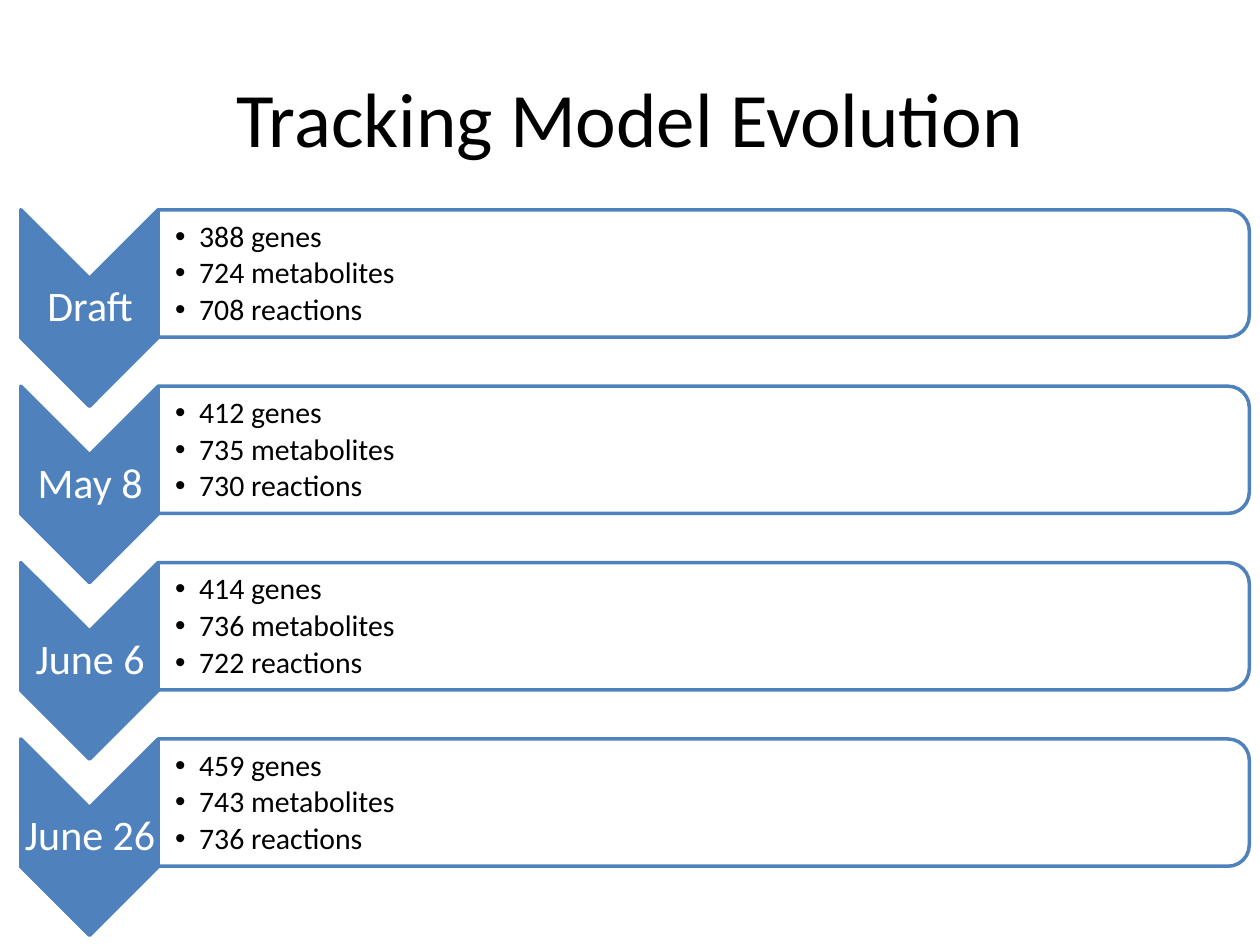
"""Build the slide that tracks model evolution over four dates."""
from lxml.etree import SubElement
from pptx import Presentation
from pptx.dml.color import RGBColor
from pptx.enum.shapes import MSO_SHAPE
from pptx.enum.text import MSO_ANCHOR, PP_ALIGN
from pptx.oxml.ns import qn
from pptx.util import Inches, Pt

COLORS = {"blue": "4F81BD", "white": "FFFFFF", "black": "000000"}
MILESTONES = [
    ("Draft", 388, 724, 708),
    ("May 8", 412, 735, 730),
    ("June 6", 414, 736, 722),
    ("June 26", 459, 743, 736),
]
ROW_STEP = 1.4
LABEL_FORMAT = {"size": 24, "color": "white", "align": PP_ALIGN.CENTER, "after": 8.4,
                "margins": (0.02, 0.02, 0.02, 0.02)}
COUNT_FORMAT = {"size": 17, "color": "black", "align": PP_ALIGN.LEFT, "after": 2.55,
                "margins": (0.13, 0.01, 0.01, 0.01)}


def add_rotated_shape(slide, preset, box, fill):
    shape = slide.shapes.add_shape(preset, *map(Inches, box))
    shape.rotation = 90
    shape.shadow.inherit = False
    shape.fill.solid()
    shape.fill.fore_color.rgb = RGBColor.from_string(COLORS[fill])
    shape.line.color.rgb = RGBColor.from_string(COLORS["blue"])
    shape.line.width = Pt(2)
    return shape


def add_text(slide, box, lines, style):
    frame = slide.shapes.add_textbox(*map(Inches, box)).text_frame
    frame.word_wrap = True
    frame.vertical_anchor = MSO_ANCHOR.MIDDLE
    for side, margin in zip(("left", "top", "right", "bottom"), style["margins"]):
        setattr(frame, f"margin_{side}", Inches(margin))
    frame.text = "\n".join(lines)
    for paragraph in frame.paragraphs:
        paragraph.alignment = style["align"]
        paragraph.line_spacing = 0.9
        paragraph.space_after = Pt(style["after"])
        font = paragraph.runs[0].font
        font.name = "Calibri"
        font.size = Pt(style["size"])
        font.color.rgb = RGBColor.from_string(COLORS[style["color"]])
    return frame


presentation = Presentation()
presentation.slide_width = Inches(10)
presentation.slide_height = Inches(7.5)
slide = presentation.slides.add_slide(presentation.slide_layouts[5])

title = slide.shapes.title
title.left, title.top, title.width, title.height = map(Inches, (0.5, 0.3, 9, 1.25))
title.text_frame.text = "Tracking Model Evolution"
title.text_frame.vertical_anchor = MSO_ANCHOR.MIDDLE
title_paragraph = title.text_frame.paragraphs[0]
title_paragraph.alignment = PP_ALIGN.CENTER
title_font = title_paragraph.runs[0].font
title_font.name = "Calibri"
title_font.size = Pt(44)
title_font.color.rgb = RGBColor.from_string(COLORS["black"])

for row, (date, genes, metabolites, reactions) in enumerate(MILESTONES):
    offset = row * ROW_STEP
    add_rotated_shape(slide, MSO_SHAPE.CHEVRON, (-0.07, 1.9 + offset, 1.56, 1.09), "blue")
    add_text(slide, (0.17, 2.21 + offset, 1.09, 0.47), [date], LABEL_FORMAT)

    panel = add_rotated_shape(slide, MSO_SHAPE.ROUND_2_SAME_RECTANGLE,
                              (5.08, -2.16 + offset, 1.01, 8.66), "white")
    panel_color = panel.fill._xPr.find(qn("a:solidFill"))[0]
    SubElement(panel_color, qn("a:alpha"), val="90000")

    counts = [f"{genes} genes", f"{metabolites} metabolites", f"{reactions} reactions"]
    frame = add_text(slide, (1.26, 1.72 + offset, 8.61, 0.91), counts, COUNT_FORMAT)
    for paragraph in frame.paragraphs:
        paragraph.level = 1
        properties = paragraph._p.get_or_add_pPr()
        properties.set("marL", str(Inches(0.19)))
        properties.set("indent", str(-Inches(0.19)))
        SubElement(properties, qn("a:buFont"), typeface="Arial")
        SubElement(properties, qn("a:buChar"), char="•")

presentation.save("out.pptx")
